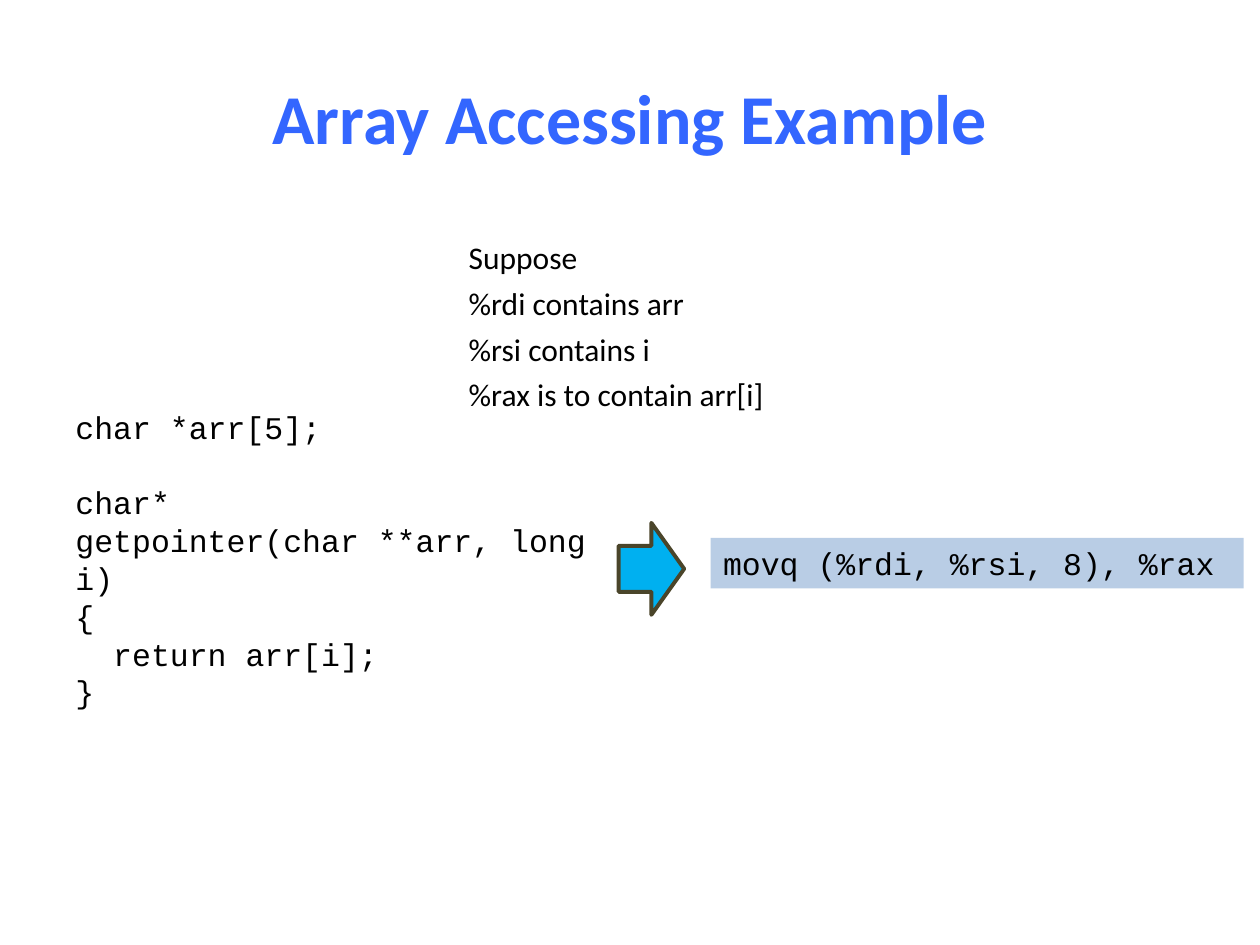
from dataclasses import dataclass

from pptx import Presentation
from pptx.dml.color import RGBColor as RGB
from pptx.enum.shapes import MSO_SHAPE as SHAPE
from pptx.enum.text import MSO_ANCHOR as ANCHOR, MSO_AUTO_SIZE as FIT, PP_ALIGN as ALIGN
from pptx.oxml.xmlchemy import OxmlElement
from pptx.util import Inches, Pt


@dataclass(frozen=True)
class Theme:
    """Colours, fonts and type sizes of the slide."""
    title: RGB = RGB(0x33, 0x66, 0xFF)
    ink: RGB = RGB(0, 0, 0)
    arrow: RGB = RGB(0x00, 0xB0, 0xF0)
    arrow_line: RGB = RGB(0x4A, 0x45, 0x2A)
    panel: RGB = RGB(0xB9, 0xCD, 0xE5)
    sans: str = "Calibri"
    mono: str = "Courier New"
    title_size: Pt = Pt(40)
    text_size: Pt = Pt(18)
    item_gap: Pt = Pt(4.5)
    code_gap: Pt = Pt(21.4)


THEME = Theme()


def place(sp, box):
    """Move a shape to a box given in inches."""
    sp.left, sp.top, sp.width, sp.height = map(Inches, box)


def style(tf, font, size, color, bold=False):
    """Format every run of a text frame."""
    for p in tf.paragraphs:
        for r in p.runs:
            r.font.name, r.font.size, r.font.bold = font, size, bold
            r.font.color.rgb = color


def add_title(s, box, text):
    """Fill the title placeholder."""
    sp = s.shapes.title
    place(sp, box)
    tf = sp.text_frame
    tf.text = text
    tf.vertical_anchor = ANCHOR.MIDDLE
    tf.paragraphs[0].alignment = ALIGN.CENTER
    style(tf, THEME.sans, THEME.title_size, THEME.title, bold=True)


def add_assumptions(s, box, lines):
    """Fill the body placeholder with unbulleted lines."""
    sp = s.placeholders[1]
    place(sp, box)
    tf = sp.text_frame
    tf.text = "\n".join(lines)
    tf.auto_size = FIT.NONE
    for p in tf.paragraphs:
        p.space_before = THEME.item_gap
        pPr = p._p.get_or_add_pPr()
        pPr.set("marL", str(Inches(0.17)))
        pPr.set("indent", "0")
        pPr.append(OxmlElement("a:buNone"))
    style(tf, THEME.sans, THEME.text_size, THEME.ink)


def add_code(s, box, blocks, fill=None):
    """Add a code box whose blocks are set apart by one line."""
    sp = s.shapes.add_textbox(*map(Inches, box))
    if fill is not None:
        sp.fill.solid()
        sp.fill.fore_color.rgb = fill
    tf = sp.text_frame
    tf.word_wrap = True
    tf.auto_size = FIT.SHAPE_TO_FIT_TEXT
    tf.text = "\n".join(line for block in blocks for line in block)
    start = 0
    for block in blocks[:-1]:
        start += len(block)
        tf.paragraphs[start].space_before = THEME.code_gap
    style(tf, THEME.mono, THEME.text_size, THEME.ink)


def add_arrow(s, box):
    """Add the arrow from source code to assembly."""
    sp = s.shapes.add_shape(SHAPE.RIGHT_ARROW, *map(Inches, box))
    sp.shadow.inherit = False
    sp.fill.solid()
    sp.fill.fore_color.rgb = THEME.arrow
    sp.line.color.rgb = THEME.arrow_line
    sp.line.width = Pt(2.25)


def add_translation(s, box, source, assembly):
    """Lay out source code, arrow and assembly from left to right."""
    x, y, w, h = box
    add_code(s, (x, y, 4.41, h), source)
    add_arrow(s, (x + 4.41, y + 0.96, 0.52, 0.73))
    add_code(s, (x + 5.14, y + 1.08, w - 5.14, 0.4), assembly, THEME.panel)


def main():
    """Build and save the slide."""
    prs = Presentation()
    prs.slide_width, prs.slide_height = Inches(10), Inches(7.5)
    s = prs.slides.add_slide(prs.slide_layouts[1])
    add_title(s, (0.5, 0.3, 9, 1.25), "Array Accessing Example")
    add_assumptions(s, (3.45, 1.84, 3.33, 1.35), [
        "Suppose", "%rdi contains arr", "%rsi contains i",
        "%rax is to contain arr[i]"])
    source = [["char *arr[5];"],
              ["char*", "getpointer(char **arr, long i)", "{",
               "  return arr[i];", "}"]]
    add_translation(s, (0.5, 3.19, 9.37, 2.22), source,
                    [["movq (%rdi, %rsi, 8), %rax"]])
    prs.save("out.pptx")


main()
